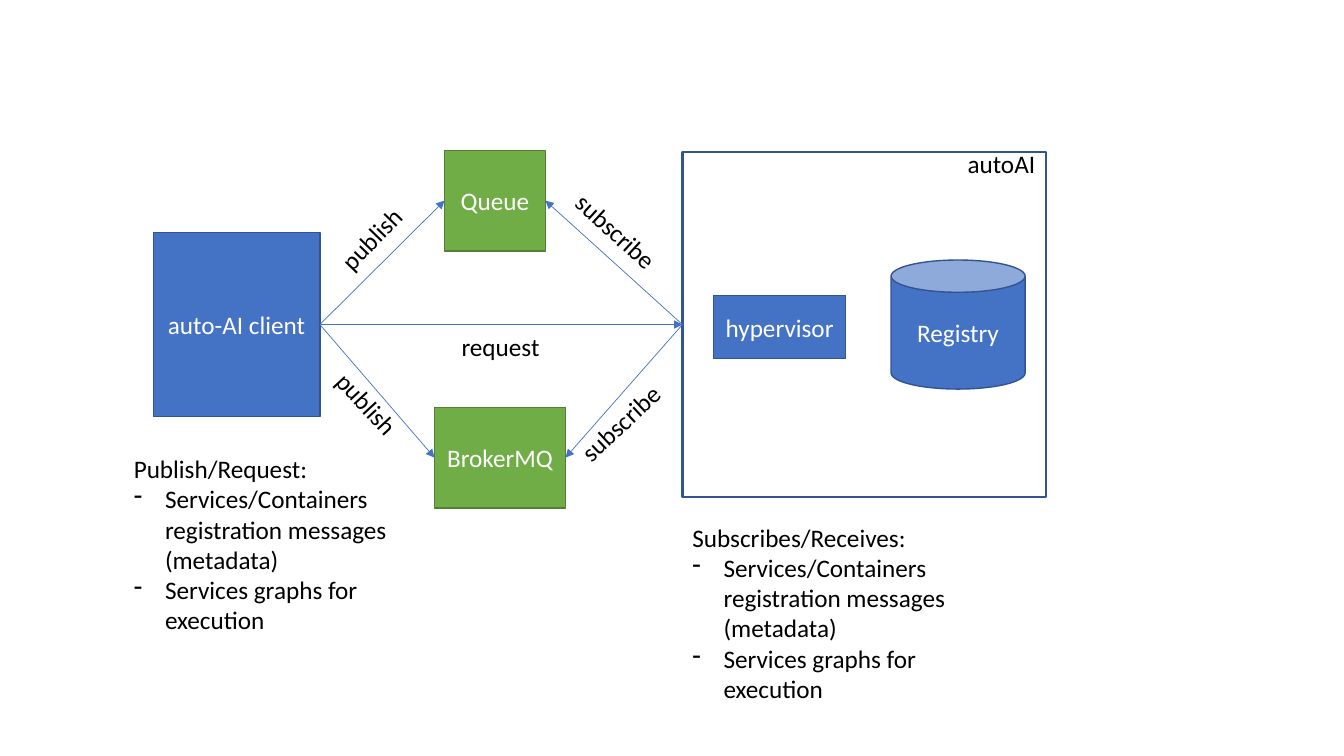
from dataclasses import dataclass

from lxml.etree import SubElement
from pptx import Presentation
from pptx.dml.color import RGBColor as Color
from pptx.enum.shapes import MSO_CONNECTOR as Connector, MSO_SHAPE as Preset
from pptx.enum.text import MSO_ANCHOR as Anchor, MSO_AUTO_SIZE as AutoSize, PP_ALIGN as Align
from pptx.oxml.ns import qn
from pptx.util import Inches, Pt

WIDTH, HEIGHT = Inches(13.333), Inches(7.5)
LEFT_SITE, RIGHT_SITE = 1, 3
LABEL_HEIGHT = 5.33
BULLET_INDENT = Inches(0.31)


@dataclass(frozen=True)
class Theme:
    """Colours, font and sizes of the slide."""
    blue: str = "4472C4"
    blue_edge: str = "325491"
    green: str = "70AD47"
    green_edge: str = "538035"
    white: str = "FFFFFF"
    black: str = "000000"
    font: str = "Calibri"
    size: int = 18
    arrow_width: float = 0.5


THEME = Theme()


def place(left, top, width, height):
    """Turn percentages of the slide into lengths."""
    return (int(WIDTH * left / 100), int(HEIGHT * top / 100),
            int(WIDTH * width / 100), int(HEIGHT * height / 100))


def style_runs(para, colour):
    """Format every run of a paragraph."""
    for span in para.runs:
        span.font.name = THEME.font
        span.font.size = Pt(THEME.size)
        span.font.color.rgb = Color.from_string(colour)


def add_node(page, text, area, fill, edge, preset=Preset.RECTANGLE, edge_width=1):
    """Add a filled shape with centred white text."""
    node = page.shapes.add_shape(preset, *place(*area))
    node.shadow.inherit = False
    node.fill.solid()
    node.fill.fore_color.rgb = Color.from_string(fill)
    node.line.color.rgb = Color.from_string(edge)
    node.line.width = Pt(edge_width)
    if text:
        node.text_frame.text = text
        node.text_frame.vertical_anchor = Anchor.MIDDLE
        para = node.text_frame.paragraphs[0]
        para.alignment = Align.CENTER
        style_runs(para, THEME.white)
    return node


def add_text(page, text, area, rotation=0, wrap=False):
    """Add a black text box and return its paragraphs."""
    box = page.shapes.add_textbox(*place(*area))
    box.rotation = rotation
    frame = box.text_frame
    frame.word_wrap = wrap
    frame.auto_size = AutoSize.SHAPE_TO_FIT_TEXT
    frame.text = text
    for para in frame.paragraphs:
        style_runs(para, THEME.black)
    return frame.paragraphs


def add_label(page, text, left, top, width, rotation=0):
    """Add a one-line label."""
    add_text(page, text, (left, top, width, LABEL_HEIGHT), rotation)


def add_note(page, heading, items, left, top):
    """Add a heading followed by a dashed list."""
    paras = add_text(page, "\n".join([heading, *items]), (left, top, 20.48, 29.6), wrap=True)
    for para in paras[1:]:
        properties = para._p.get_or_add_pPr()
        properties.set("marL", str(BULLET_INDENT))
        properties.set("indent", str(-BULLET_INDENT))
        SubElement(properties, qn("a:buFontTx"))
        SubElement(properties, qn("a:buChar"), char="-")


def add_arrow(page, source, source_site, target, target_site):
    """Join two nodes with a thin arrow."""
    arrow = page.shapes.add_connector(Connector.STRAIGHT, 0, 0, 0, 0)
    arrow.begin_connect(source, source_site)
    arrow.end_connect(target, target_site)
    arrow.line.color.rgb = Color.from_string(THEME.blue)
    arrow.line.width = Pt(THEME.arrow_width)
    SubElement(arrow.line._get_or_add_ln(), qn("a:tailEnd"), type="triangle")
    SubElement(arrow._element.spPr, qn("a:effectLst"))


def main():
    """Build the messaging diagram and save it."""
    deck = Presentation()
    deck.slide_width, deck.slide_height = WIDTH, HEIGHT
    page = deck.slides.add_slide(deck.slide_layouts[6])
    blue = (THEME.blue, THEME.blue_edge)
    green = (THEME.green, THEME.green_edge)

    client = add_node(page, "auto-AI client", (11.4, 30.73, 12.4, 24.4), *blue)
    platform = add_node(page, "", (50.78, 20.13, 27.07, 45.6),
                        THEME.white, THEME.blue_edge, edge_width=1.5)
    add_node(page, "hypervisor", (53.1, 39.07, 9.82, 8.4), *blue)
    add_node(page, "Registry", (66.3, 34.4, 9.98, 17.07), *blue, preset=Preset.CAN)
    queue = add_node(page, "Queue", (33.08, 19.87, 7.5, 13.33), *green)
    broker = add_node(page, "BrokerMQ", (32.33, 53.87, 9.75, 13.33), *green)

    add_arrow(page, client, RIGHT_SITE, platform, LEFT_SITE)
    for channel in (queue, broker):
        add_arrow(page, client, RIGHT_SITE, channel, LEFT_SITE)
        add_arrow(page, platform, LEFT_SITE, channel, RIGHT_SITE)

    add_label(page, "autoAI", 71.25, 18.93, 6.6)
    add_label(page, "request", 33.6, 43.2, 7.35)
    add_label(page, "publish", 24.08, 28.8, 7.13, 314.1)
    add_label(page, "publish", 23.78, 50.8, 7.13, 47.4)
    add_label(page, "subscribe", 41.48, 28, 8.85, 42.5)
    add_label(page, "subscribe", 41.78, 53.2, 8.85, 317)

    messages = ["Services/Containers registration messages (metadata)",
                "Services graphs for execution"]
    add_note(page, "Publish/Request:", messages, 9.22, 59.33)
    add_note(page, "Subscribes/Receives:", messages, 50.78, 68.4)
    deck.save("out.pptx")


if __name__ == "__main__":
    main()
